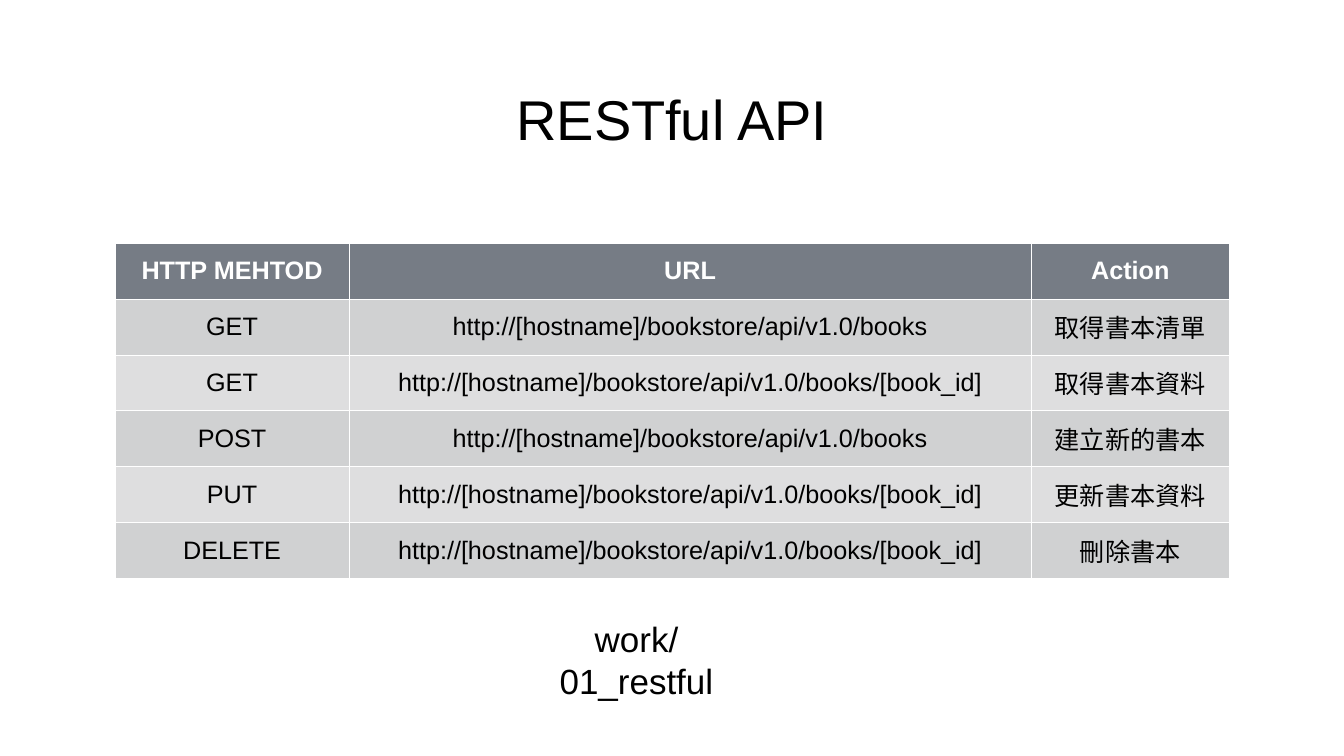
from lxml import etree
from pptx import Presentation
from pptx import util as u
from pptx.dml.color import RGBColor
from pptx.enum import text
from pptx.oxml import ns

BLACK = RGBColor(0x00, 0x00, 0x00)
WHITE = RGBColor(0xFF, 0xFF, 0xFF)
HEADER = RGBColor(0x76, 0x7C, 0x85)
BANDS = (RGBColor(0xDE, 0xDE, 0xDF), RGBColor(0xD0, 0xD1, 0xD2))

BOOKS = "http://[hostname]/bookstore/api/v1.0/books"
BOOK = BOOKS + "/[book_id]"
COLUMN_WIDTHS = (4.65, 13.53, 3.94)
ROW_HEIGHT = 1.11
ROWS = (
    ("HTTP MEHTOD", "URL", "Action"),
    ("GET", BOOKS, "取得書本清單"),
    ("GET", BOOK, "取得書本資料"),
    ("POST", BOOKS, "建立新的書本"),
    ("PUT", BOOK, "更新書本資料"),
    ("DELETE", BOOK, "刪除書本"),
)


def write_text(paragraph, content, size, color=BLACK, bold=False):
    """Write centred Arial text into a paragraph."""
    paragraph.alignment = text.PP_ALIGN.CENTER
    run = paragraph.add_run()
    run.text = content
    formats = {"name": "Arial", "size": u.Pt(size), "bold": bold}
    for name, value in formats.items():
        setattr(run.font, name, value)
    run.font.color.rgb = color


def add_label(slide, content, box, size):
    """Add a wrapped text box centred both ways."""
    shape = slide.shapes.add_textbox(*map(u.Inches, box))
    formats = {"word_wrap": True, "vertical_anchor": text.MSO_ANCHOR.MIDDLE}
    for side in ("left", "top", "right", "bottom"):
        formats[f"margin_{side}"] = u.Inches(0.08)
    for name, value in formats.items():
        setattr(shape.text_frame, name, value)
    write_text(shape.text_frame.paragraphs[0], content, size)


def add_borders(cell):
    """Give a cell thin white lines on every side, placed before its fill."""
    properties = cell._tc.get_or_add_tcPr()
    for index, side in enumerate(("lnL", "lnR", "lnT", "lnB")):
        line = etree.Element(ns.qn(f"a:{side}"), w=str(u.Pt(1)))
        fill = etree.SubElement(line, ns.qn("a:solidFill"))
        etree.SubElement(fill, ns.qn("a:srgbClr"), val=str(WHITE))
        properties.insert(index, line)


def add_method_table(slide):
    """Add the table of HTTP methods, addresses and actions."""
    box = (2.28, 4.82, sum(COLUMN_WIDTHS), ROW_HEIGHT * len(ROWS))
    frame = slide.shapes.add_table(
        len(ROWS), len(COLUMN_WIDTHS), *map(u.Inches, box))
    table = frame.table
    for column, width in zip(table.columns, COLUMN_WIDTHS):
        column.width = u.Inches(width)
    for row_index, values in enumerate(ROWS):
        table.rows[row_index].height = u.Inches(ROW_HEIGHT)
        header = row_index == 0
        for column_index, value in enumerate(values):
            cell = table.cell(row_index, column_index)
            cell.vertical_anchor = text.MSO_ANCHOR.MIDDLE
            cell.fill.solid()
            cell.fill.fore_color.rgb = HEADER if header else BANDS[row_index % 2]
            add_borders(cell)
            write_text(cell.text_frame.paragraphs[0], value, 36,
                       WHITE if header else BLACK, header)


def main():
    """Build the RESTful API slide."""
    presentation = Presentation()
    presentation.slide_width = u.Inches(26.67)
    presentation.slide_height = u.Inches(15)
    slide = presentation.slides.add_slide(presentation.slide_layouts[6])
    add_label(slide, "RESTful API", (4.8, 0.68, 17.07, 3.32), 80)
    add_method_table(slide)
    add_label(slide, "work/01_restful", (10.28, 12.58, 4.7, 1), 50)
    presentation.save("out.pptx")


if __name__ == "__main__":
    main()
